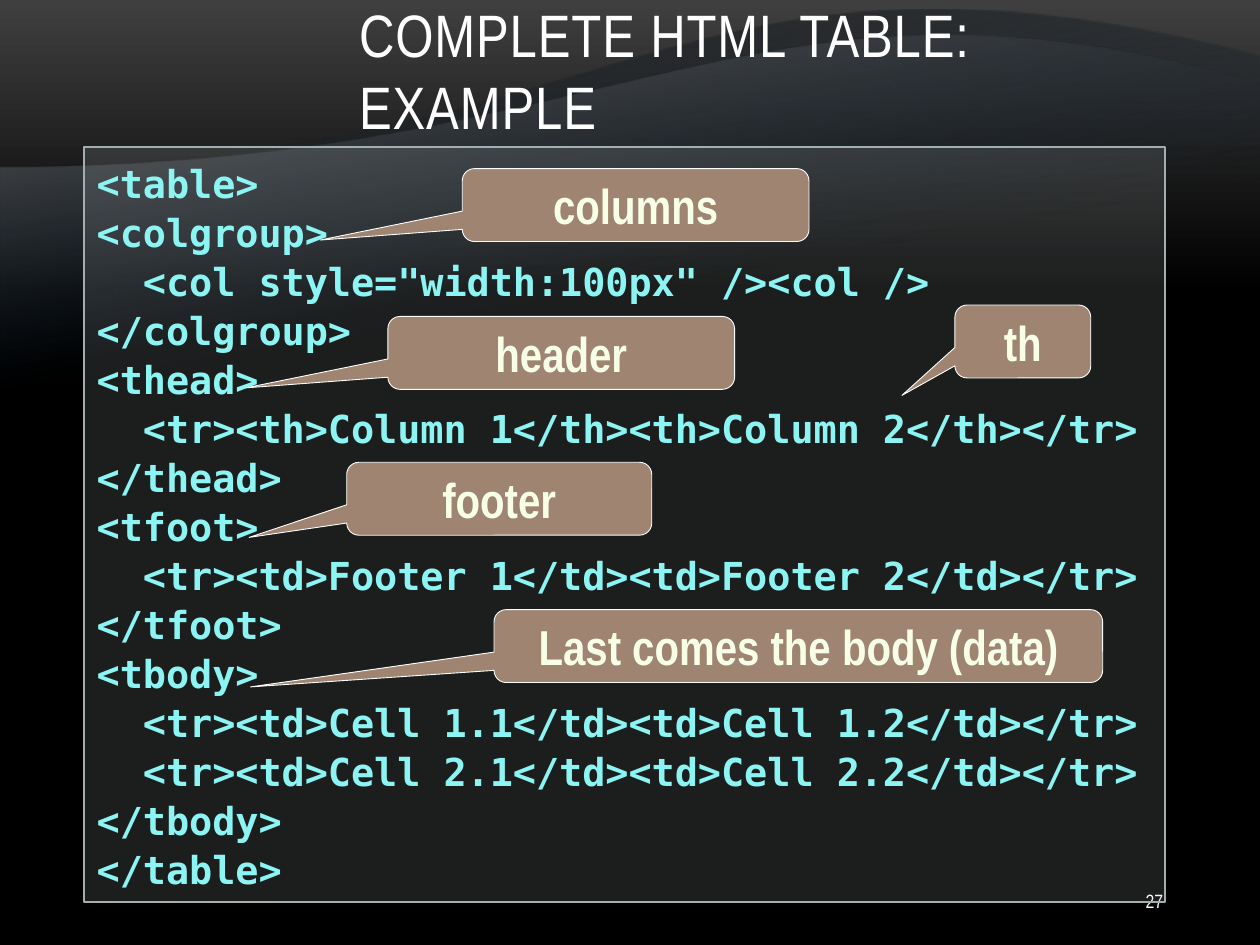
import pptx
import pptx.dml.color
import pptx.enum.shapes
import pptx.enum.text
import pptx.oxml
import pptx.oxml.ns
import pptx.util
from dataclasses import dataclass

Cm = pptx.util.Cm
Pt = pptx.util.Pt
SHAPE = pptx.enum.shapes.MSO_SHAPE
ALIGN = pptx.enum.text.PP_ALIGN
ANCHOR = pptx.enum.text.MSO_ANCHOR
FIT = pptx.enum.text.MSO_AUTO_SIZE
NAMESPACE = pptx.oxml.ns.nsdecls("a")
WIDTH, HEIGHT = 25.4, 19.05

CODE = """<table>
<colgroup>
  <col style="width:100px" /><col />
</colgroup>
<thead>
  <tr><th>Column 1</th><th>Column 2</th></tr>
</thead>
<tfoot>
  <tr><td>Footer 1</td><td>Footer 2</td></tr>
</tfoot>
<tbody>
  <tr><td>Cell 1.1</td><td>Cell 1.2</td></tr>
  <tr><td>Cell 2.1</td><td>Cell 2.2</td></tr>
</tbody>
</table>"""

# label, left, top, width, pointer tip
CALLOUTS = [
    ("header", 7.82, 6.38, 6.99, (-0.91, 0.48)),
    ("footer", 6.99, 9.32, 6.15, (-0.82, 0.53)),
    ("Last comes the body (data)", 9.96, 12.29, 12.27, (-0.9, 0.56)),
    ("th", 19.25, 6.15, 2.74, (-0.89, 0.74)),
    ("columns", 9.32, 3.4, 6.99, (-0.91, 0.48)),
]


@dataclass
class TextStyle:
    font: str
    size: float
    color: str
    bold: bool = False
    line: float = None
    spacing: int = 0


class Theme:
    title = TextStyle("Arial Narrow", 34.2, "FFFFFF", spacing=50)
    number = TextStyle("Arial Narrow", 11, "FFFFFF")
    code = TextStyle("DejaVu Sans Mono", 22, "8CF4F2", True, 28)
    callout = TextStyle("Arial Narrow", 28, "F7FFE7", True, 30)
    code_fill, code_line = "C1CACB", "A2AFB1"
    callout_fill, callout_line = "9F8471", "FFFFFF"
    backdrop = [(0, "3F3F3F", 100), (31, "000000", 100), (100, "000000", 100)]
    back_wave = [(65, "15212D", 0), (100, "262626", 100)]
    front_wave = [(65, "15212D", 0), (100, "595959", 100)]


def rgb(value):
    return pptx.dml.color.RGBColor.from_string(value)


class SlideBuilder:
    def __init__(self, theme, page):
        self.theme = theme
        self.page = page

    def gradient(self, solid, stops, angle):
        """Put a linear gradient in the place of a solid fill element."""
        marks = "".join(
            f'<a:gs pos="{at * 1000}"><a:srgbClr val="{color}">'
            f'<a:alpha val="{alpha * 1000}"/></a:srgbClr></a:gs>'
            for at, color, alpha in stops)
        solid.getparent().replace(solid, pptx.oxml.parse_xml(
            f'<a:gradFill {NAMESPACE} rotWithShape="1"><a:gsLst>{marks}</a:gsLst>'
            f'<a:lin ang="{angle * 60000}" scaled="0"/></a:gradFill>'))

    def backdrop(self):
        self.page.background.fill.solid()
        solid = self.page.element.xpath(".//p:bgPr/a:solidFill")[0]
        self.gradient(solid, self.theme.backdrop, 90)

    def wave(self, left_y, right_y, bottom, pull, stops):
        """Area under a curve that crosses the page; pull is its second handle."""
        outline = self.page.shapes.build_freeform(Cm(WIDTH), Cm(bottom))
        outline.add_line_segments([(Cm(0), Cm(bottom)), (Cm(0), Cm(left_y)),
                                   (Cm(WIDTH), Cm(right_y))])
        shape = outline.convert_to_shape()
        shape.shadow.inherit = False
        shape.line.fill.background()
        shape.fill.solid()
        self.gradient(shape.element.xpath("./p:spPr/a:solidFill")[0], stops, 260)
        # Turn the top edge into a curve
        edge = shape.element.xpath(".//a:lnTo")[2]
        handles = [(WIDTH / 2, left_y), pull, (WIDTH, right_y)]
        points = "".join(f'<a:pt x="{Cm(x)}" y="{Cm(y - right_y)}"/>' for x, y in handles)
        edge.getparent().replace(edge, pptx.oxml.parse_xml(
            f"<a:cubicBezTo {NAMESPACE}>{points}</a:cubicBezTo>"))

    def add_text(self, box, lines, style, align, anchor):
        frame = box.text_frame
        frame.word_wrap = True
        frame.vertical_anchor = anchor
        for index, line in enumerate(lines):
            para = frame.paragraphs[0] if index == 0 else frame.add_paragraph()
            para.alignment = align
            if style.line:
                para.line_spacing = Pt(style.line)
            span = para.add_run()
            span.text = line
            span.font.name = style.font
            span.font.size = Pt(style.size)
            span.font.bold = style.bold
            span.font.color.rgb = rgb(style.color)
            if style.spacing:
                span.font._element.set("spc", str(style.spacing))

    def label(self, text, area, style, align, anchor):
        box = self.page.shapes.add_textbox(*map(Cm, area))
        self.add_text(box, [text], style, align, anchor)

    def panel(self, kind, area, fill, line, weight):
        box = self.page.shapes.add_shape(kind, *map(Cm, area))
        box.shadow.inherit = False
        box.fill.solid()
        box.fill.fore_color.rgb = rgb(fill)
        box.line.color.rgb = rgb(line)
        box.line.width = Pt(weight)
        frame = box.text_frame
        frame.margin_top = frame.margin_bottom = Cm(0.2)
        frame.auto_size = FIT.SHAPE_TO_FIT_TEXT
        return box

    def code(self, text, area):
        box = self.panel(SHAPE.RECTANGLE, area, self.theme.code_fill,
                         self.theme.code_line, 1)
        color = box.element.xpath("./p:spPr/a:solidFill/a:srgbClr")[0]
        color.append(pptx.oxml.parse_xml(f'<a:alpha {NAMESPACE} val="15000"/>'))
        self.add_text(box, text.splitlines(), self.theme.code, ALIGN.LEFT, ANCHOR.TOP)

    def callout(self, text, left, top, width, tip):
        box = self.panel(SHAPE.ROUNDED_RECTANGULAR_CALLOUT, (left, top, width, 1.47),
                         self.theme.callout_fill, self.theme.callout_line, 0.5)
        box.adjustments[0], box.adjustments[1] = tip
        self.add_text(box, [text], self.theme.callout, ALIGN.CENTER, ANCHOR.TOP)


def main():
    deck = pptx.Presentation()
    deck.slide_width, deck.slide_height = Cm(WIDTH), Cm(HEIGHT)
    theme = Theme()
    builder = SlideBuilder(theme, deck.slides.add_slide(deck.slide_layouts[6]))

    # Background
    builder.backdrop()
    builder.wave(3.38, 1.14, 16.59, (13.56, -1.91), theme.back_wave)
    builder.wave(3.38, 1.7, 14.15, (15.19, -1.24), theme.front_wave)

    # Title and page number
    builder.label("COMPLETE HTML TABLE: EXAMPLE", (6.99, 0.76, 16.71, 2.21),
                  theme.title, ALIGN.LEFT, ANCHOR.BOTTOM)
    builder.label("27", (20.96, 17.65, 2.74, 1.02),
                  theme.number, ALIGN.RIGHT, ANCHOR.MIDDLE)

    # Code listing with its callouts
    builder.code(CODE, (1.7, 2.97, 21.79, 15.21))
    for callout in CALLOUTS:
        builder.callout(*callout)

    deck.save("out.pptx")


if __name__ == "__main__":
    main()
